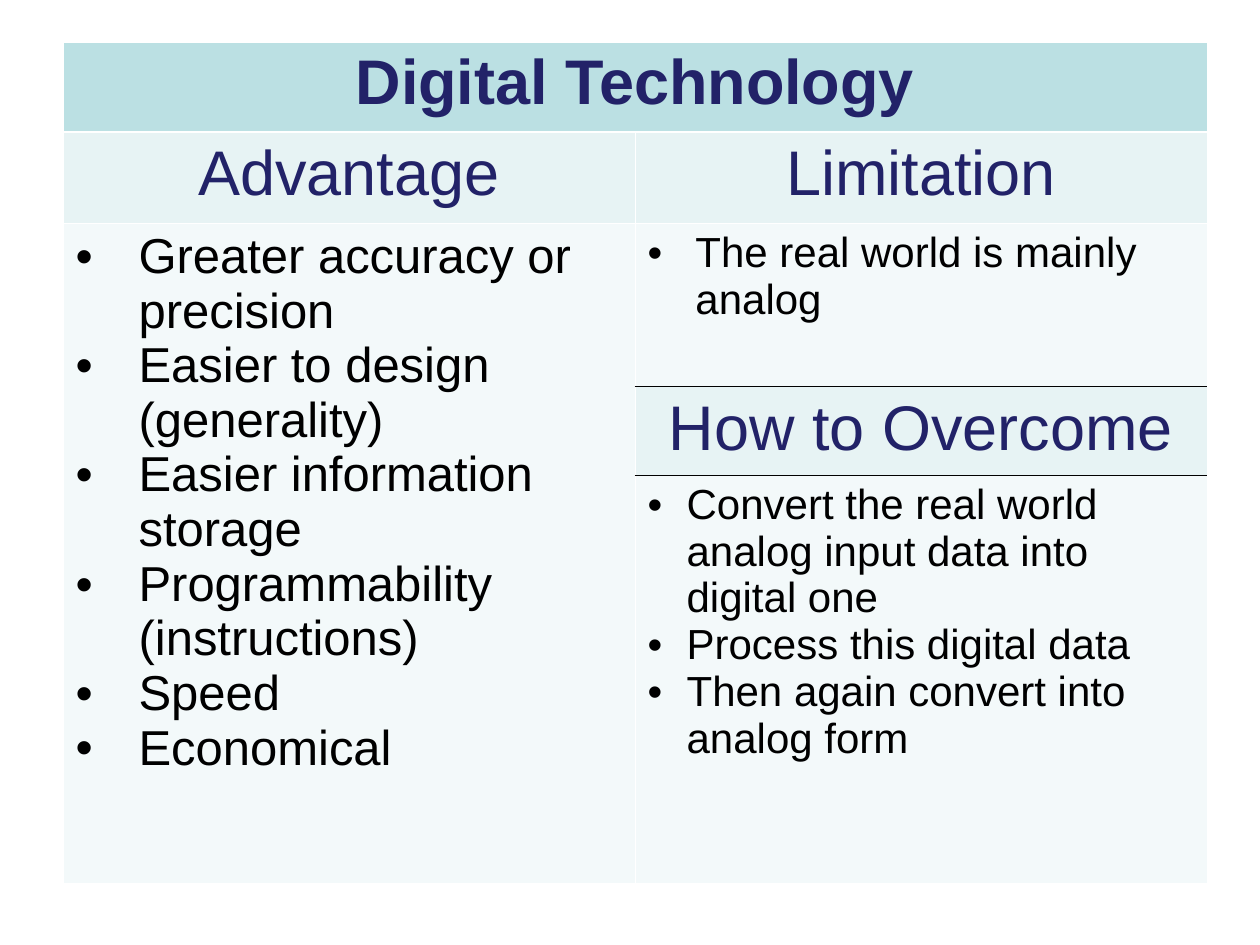
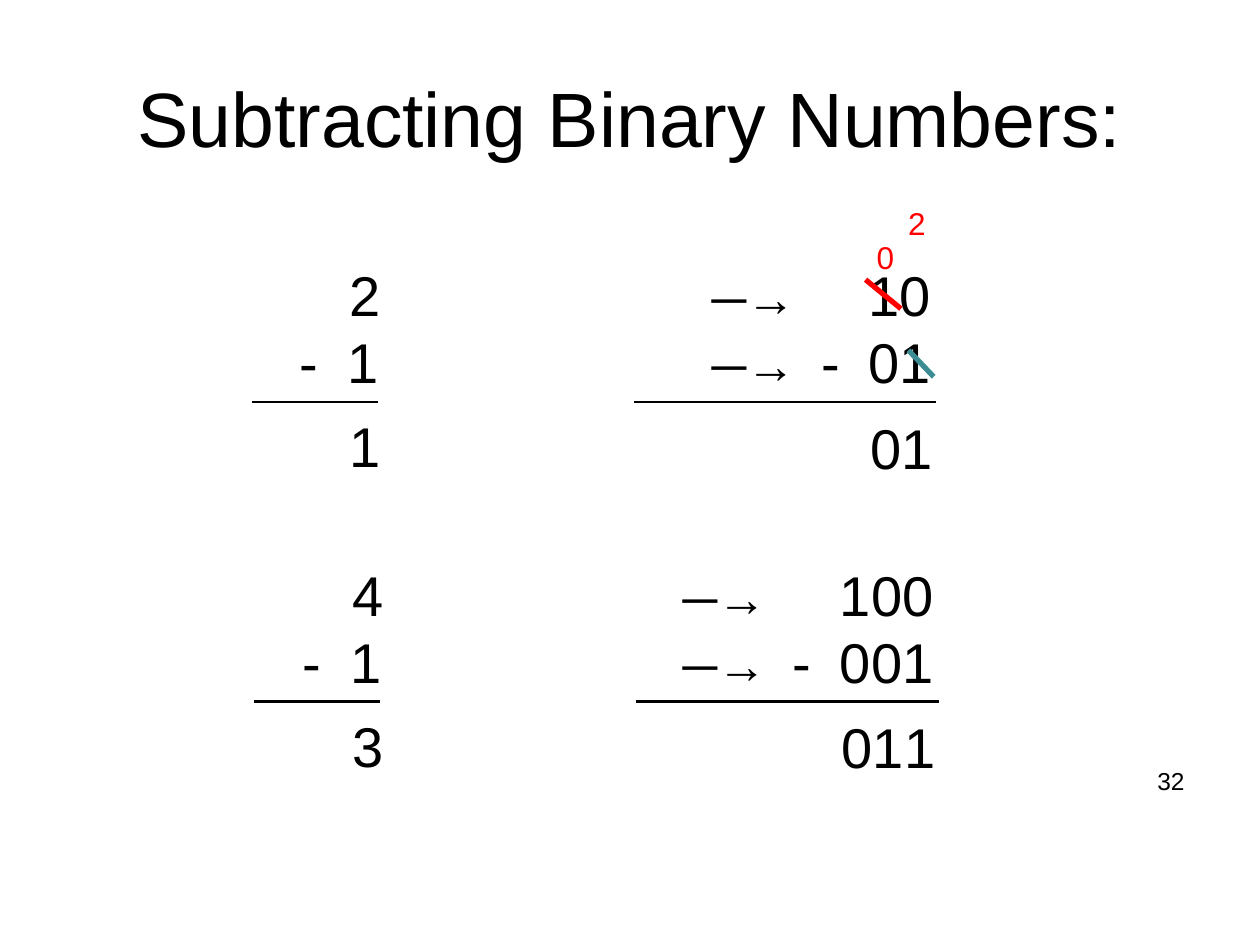
from lxml.etree import SubElement
from pptx import Presentation
from pptx.dml.color import RGBColor
from pptx.enum.shapes import MSO_CONNECTOR
from pptx.enum.text import MSO_ANCHOR, PP_ALIGN
from pptx.oxml.ns import qn
from pptx.util import Inches, Pt

COLORS = {"ink": "000000", "heading": "222268", "white": "FFFFFF", "band": "BBE0E3",
          "subband": "E7F3F4", "body": "F3F9FA", "borrow": "FF0000", "strike": "3C8C93"}
FONT, GAP_FONT = "Arial", "Cabin"

COLUMN_WIDTH = 4.54
ROW_HEIGHTS = [0.72, 0.72, 1.3, 0.7, 3.24]
HEADINGS = [
    (0, 0, "Digital Technology", "band", True),
    (1, 0, "Advantage", "subband", False),
    (1, 1, "Limitation", "subband", False),
    (3, 1, "How to Overcome", "subband", False),
]
LISTS = [
    (2, 0, 28, 0.5, ["Greater accuracy or precision", "Easier to design (generality)",
                     "Easier information storage", "Programmability (instructions)",
                     "Speed", "Economical"]),
    (2, 1, 24, 0.38, ["The real world is mainly analog"]),
    (4, 1, 24, 0.31, ["Convert the real world analog input data into digital one",
                      "Process this digital data",
                      "Then again convert into analog form"]),
]
BLACK_RULES = {(2, 1): "B", (3, 1): "TB", (4, 1): "T"}
HEAVY_RULES = {(0, 0): "TB"}

TITLE = "Subtracting Binary Numbers:"
PAGE = "32"
PROBLEMS = [
    {"decimal": ("2", "1", "1"), "binary": ("10", "01", "01"),
     "arrow_tab": 2.13, "minus_tab": 3.0},
    {"decimal": ("4", "1", "3"), "binary": ("100", "001", "011"),
     "arrow_tab": 1.88, "minus_tab": 2.75},
]
PROBLEM_STEP = (0.02, 2.38)
DIGIT_PITCH = 0.25
BORROWS = [("0", 6.86, 1.84), ("2", 7.11, 1.57)]
STRIKES = [((7.21, 2.78), (7.41, 2.99), "strike"), ((6.87, 2.22), (7.15, 2.45), "borrow")]


def rgb(name):
    return RGBColor.from_string(COLORS[name])


def add_run(paragraph, text, size, color="ink", bold=False, font=FONT):
    run = paragraph.add_run()
    run.text = text
    run.font.size = Pt(size)
    run.font.name = font
    run.font.bold = bold
    run.font.color.rgb = rgb(color)


def next_paragraph(frame, index):
    return frame.add_paragraph() if index else frame.paragraphs[0]


def add_bullet(paragraph, indent):
    properties = paragraph._p.get_or_add_pPr()
    properties.set("marL", str(Inches(indent)))
    properties.set("indent", str(-Inches(indent)))
    bullet_color = SubElement(properties, qn("a:buClr"))
    SubElement(bullet_color, qn("a:srgbClr"), val=COLORS["ink"])
    SubElement(properties, qn("a:buFont"), typeface=FONT)
    SubElement(properties, qn("a:buChar"), char="•")


def add_tabs(paragraph, stops):
    tabs = SubElement(paragraph._p.get_or_add_pPr(), qn("a:tabLst"))
    for position, alignment in stops:
        SubElement(tabs, qn("a:tab"), pos=str(Inches(position)), algn=alignment)


def add_borders(cell, place):
    properties = cell._tc.get_or_add_tcPr()
    for side in "LRTB":
        color = "ink" if side in BLACK_RULES.get(place, "") else "white"
        width = 1.47 if side in HEAVY_RULES.get(place, "") else 0.45
        border = SubElement(properties, qn(f"a:ln{side}"), w=str(Pt(width)))
        fill = SubElement(border, qn("a:solidFill"))
        SubElement(fill, qn("a:srgbClr"), val=COLORS[color])


def add_text_box(slide, left, top, width, height):
    frame = slide.shapes.add_textbox(*map(Inches, (left, top, width, height))).text_frame
    frame.word_wrap = True
    return frame


def add_line(slide, start, end, color="ink", width=1.5):
    line = slide.shapes.add_connector(MSO_CONNECTOR.STRAIGHT, *map(Inches, (*start, *end)))
    line.line.color.rgb = rgb(color)
    line.line.width = Pt(width)
    SubElement(line._element.spPr, qn("a:effectLst"))


def build_technology(deck):
    slide = deck.slides.add_slide(deck.slide_layouts[6])
    table = slide.shapes.add_table(
        len(ROW_HEIGHTS), 2, Inches(0.5), Inches(0.33),
        Inches(2 * COLUMN_WIDTH), Inches(sum(ROW_HEIGHTS))).table
    for column in table.columns:
        column.width = Inches(COLUMN_WIDTH)
    for row, height in zip(table.rows, ROW_HEIGHTS):
        row.height = Inches(height)
    table.cell(0, 0).merge(table.cell(0, 1))
    table.cell(2, 0).merge(table.cell(4, 0))

    def open_cell(row, column, fill):
        cell = table.cell(row, column)
        add_borders(cell, (row, column))
        cell.fill.solid()
        cell.fill.fore_color.rgb = rgb(fill)
        return cell.text_frame

    for row, column, heading, fill, bold in HEADINGS:
        paragraph = open_cell(row, column, fill).paragraphs[0]
        paragraph.alignment = PP_ALIGN.CENTER
        add_run(paragraph, heading, 36, "heading", bold)
    for row, column, size, indent, points in LISTS:
        frame = open_cell(row, column, "body")
        for index, point in enumerate(points):
            paragraph = next_paragraph(frame, index)
            add_bullet(paragraph, indent)
            add_run(paragraph, point, size)


def add_decimal(slide, values, dx, dy):
    frame = add_text_box(slide, 2.28 + dx, 2.02 + dy, 0.84, 1.84)
    for index, value in enumerate(values):
        paragraph = next_paragraph(frame, index)
        if index == 1:
            add_tabs(paragraph, [(0.63, "r")])
            add_run(paragraph, "-\t", 32)
        else:
            paragraph.alignment = PP_ALIGN.RIGHT
        if index == 2:
            paragraph.line_spacing = 1.25
        add_run(paragraph, value, 32)
    add_line(slide, (2 + dx, 3.19 + dy), (3 + dx, 3.19 + dy))


def add_binary(slide, problem, dx, dy):
    *operands, result = problem["binary"]
    frame = add_text_box(slide, 3.42 + dx, 2.02 + dy, 4.08, 1.17)
    for index, operand in enumerate(operands):
        paragraph = next_paragraph(frame, index)
        minus_stop = [(problem["minus_tab"], "l")] if index else []
        add_tabs(paragraph, [(problem["arrow_tab"], "l"), *minus_stop, (3.87, "r")])
        add_run(paragraph, "\t─→", 28)
        add_run(paragraph, "\t", 32, font=GAP_FONT)
        add_run(paragraph, f"-\t{operand}" if index else operand, 32)
    add_line(slide, (5.03 + dx, 3.19 + dy), (7.43 + dx, 3.19 + dy))
    for place, digit in enumerate(reversed(result)):
        frame = add_text_box(slide, 7.06 + dx - place * DIGIT_PITCH, 3.23 + dy, 0.45, 0.64)
        add_run(frame.paragraphs[0], digit, 32)


def build_subtraction(deck):
    slide = deck.slides.add_slide(deck.slide_layouts[5])
    title = slide.shapes.title
    title.left, title.top, title.width, title.height = map(Inches, (0.5, 0.3, 9, 1.25))
    title.text_frame.vertical_anchor = MSO_ANCHOR.MIDDLE
    heading = title.text_frame.paragraphs[0]
    heading.alignment = PP_ALIGN.CENTER
    add_run(heading, TITLE, 44)

    for index, problem in enumerate(PROBLEMS):
        dx, dy = (index * step for step in PROBLEM_STEP)
        add_decimal(slide, problem["decimal"], dx, dy)
        add_binary(slide, problem, dx, dy)
    for digit, left, top in BORROWS:
        add_run(add_text_box(slide, left, top, 0.34, 0.4).paragraphs[0], digit, 18, "borrow")
    for start, end, color in STRIKES:
        add_line(slide, start, end, color, 3)

    page = add_text_box(slide, 7.17, 6.03, 2.33, 0.52).paragraphs[0]
    page.alignment = PP_ALIGN.RIGHT
    add_run(page, PAGE, 14)


def main():
    deck = Presentation()
    deck.slide_width, deck.slide_height = Inches(10), Inches(7.5)
    build_technology(deck)
    build_subtraction(deck)
    deck.save("out.pptx")


if __name__ == "__main__":
    main()
